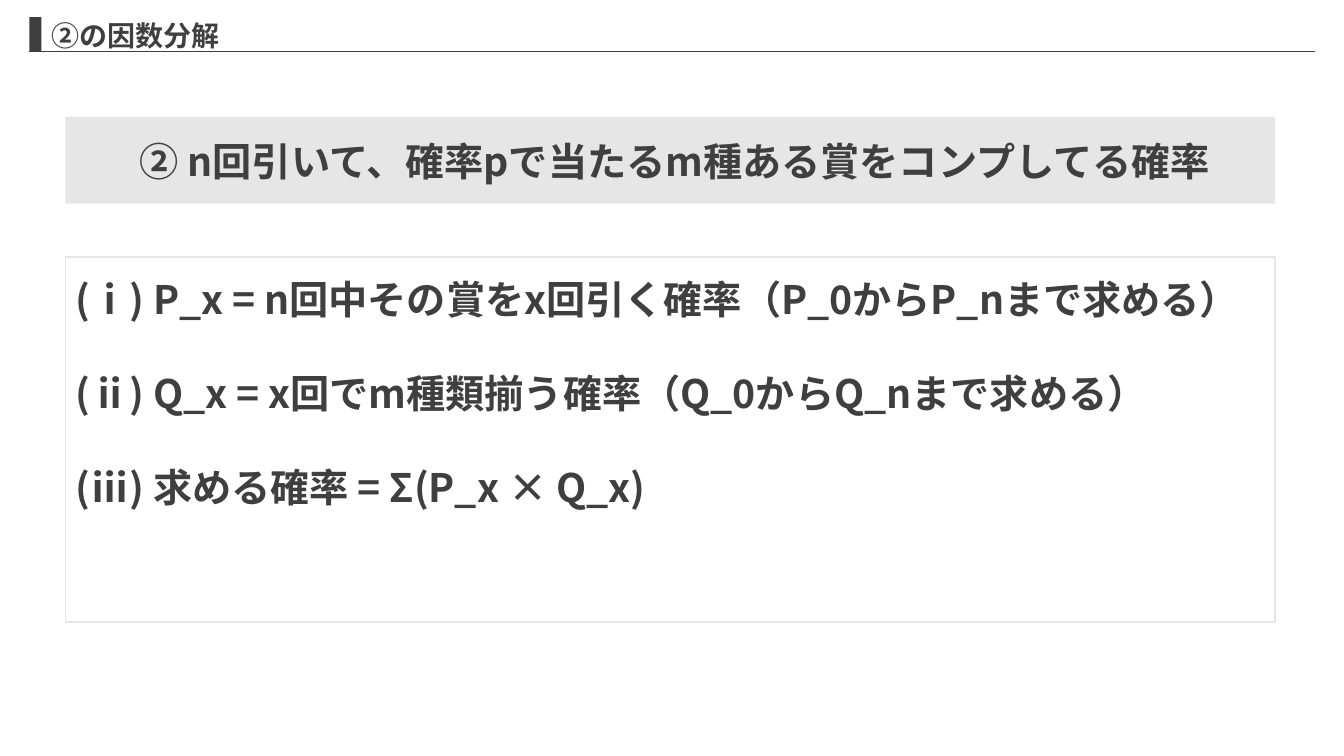
import pptx
import pptx.dml.color
import pptx.enum.shapes
import pptx.enum.text
import pptx.oxml.ns
import pptx.util
from lxml import etree

Pt = pptx.util.Pt
ANCHOR = pptx.enum.text.MSO_ANCHOR
ALIGN = pptx.enum.text.PP_ALIGN
SHAPE = pptx.enum.shapes.MSO_SHAPE
qn = pptx.oxml.ns.qn

FONT = "Noto Sans CJK JP"
DARK, PALE = "3F3F3F", "E7E6E6"
LEFT, WIDTH = 46.8, 864
LINE_PITCH = 33.6


def rgb(value):
    """Turn a hex string into a colour."""
    return pptx.dml.color.RGBColor.from_string(value)


def write(sp, lines, size=28, align=ALIGN.LEFT, anchor=ANCHOR.MIDDLE,
          top=3.6, pitch=None, gap=0):
    """Fill a shape with bold dark paragraphs, without bullets."""
    tf = sp.text_frame
    tf.word_wrap = True
    tf.auto_size = pptx.enum.text.MSO_AUTO_SIZE.NONE
    tf.vertical_anchor = anchor
    tf.margin_left = tf.margin_right = Pt(7.2)
    tf.margin_top, tf.margin_bottom = Pt(top), Pt(3.6)
    for i, text in enumerate(lines):
        p = tf.paragraphs[0] if i == 0 else tf.add_paragraph()
        p.alignment = align
        p.space_before = Pt(gap if i else 0)
        if pitch:
            p.line_spacing = Pt(pitch)
        pPr = p._p.get_or_add_pPr()
        pPr.set("marL", "0")
        pPr.set("indent", "0")
        etree.SubElement(pPr, qn("a:buNone"))
        r = p.add_run()
        r.text = text
        r.font.name, r.font.size, r.font.bold = FONT, Pt(size), True
        r.font.color.rgb = rgb(DARK)
        ea = etree.SubElement(r._r.get_or_add_rPr(), qn("a:ea"))
        ea.set("typeface", FONT)


prs = pptx.Presentation()
prs.slide_width, prs.slide_height = Pt(960), Pt(540)
s = prs.slides.add_slide(prs.slide_layouts[1])
title, body = s.placeholders

# Heading with its rule and marker
rule = s.shapes.add_connector(pptx.enum.shapes.MSO_CONNECTOR.STRAIGHT,
                              Pt(21), Pt(36.7), Pt(939), Pt(36.7))
rule.line.color.rgb = rgb(DARK)
rule.line.width = Pt(0.5)
etree.SubElement(rule._element.spPr, qn("a:effectLst"))

title.left, title.top, title.width, title.height = Pt(29.5), Pt(9.4), Pt(913), Pt(31.7)
write(title, ["②の因数分解"], size=20)

# Marker and question banner
marker = s.shapes.add_shape(SHAPE.RECTANGLE, Pt(21), Pt(12.2), Pt(8.6), Pt(24.5))
banner = s.shapes.add_shape(SHAPE.RECTANGLE, Pt(LEFT), Pt(83.5), Pt(WIDTH), Pt(62))
for sp, color in ((marker, DARK), (banner, PALE)):
    sp.shadow.inherit = False
    sp.fill.solid()
    sp.fill.fore_color.rgb = rgb(color)
    sp.line.fill.background()
write(banner, [" ② n回引いて、確率pで当たるm種ある賞をコンプしてる確率"],
      align=ALIGN.CENTER)

# Framed list of steps
body.left, body.top, body.width, body.height = Pt(LEFT), Pt(183.6), Pt(WIDTH), Pt(260.6)
body.line.color.rgb = rgb(PALE)
body.line.width = Pt(1)
write(body, ["(ⅰ) P_x = n回中その賞をx回引く確率（P_0からP_nまで求める）",
             "(ⅱ) Q_x = x回でm種類揃う確率（Q_0からQ_nまで求める）",
             "(ⅲ) 求める確率 = Σ(P_x × Q_x)"],
      anchor=ANCHOR.TOP, top=13, pitch=LINE_PITCH, gap=LINE_PITCH)

prs.save("out.pptx")
